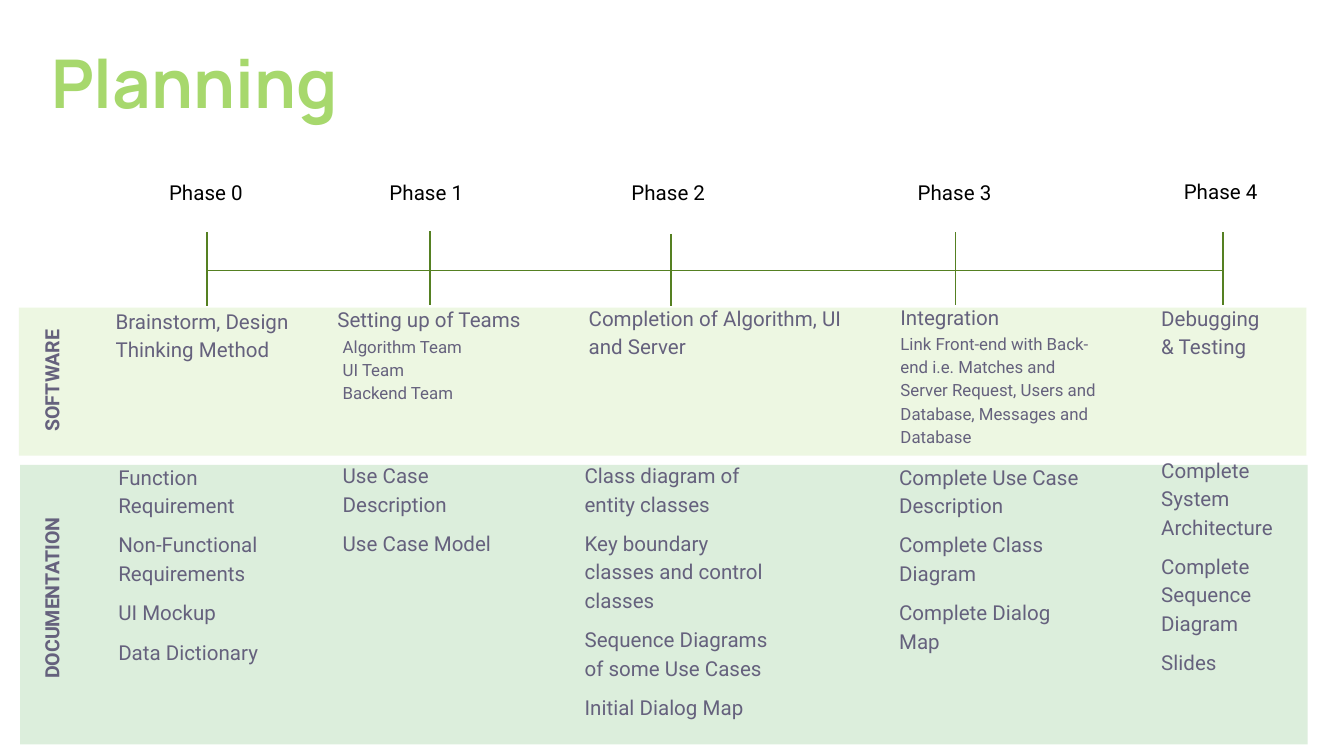
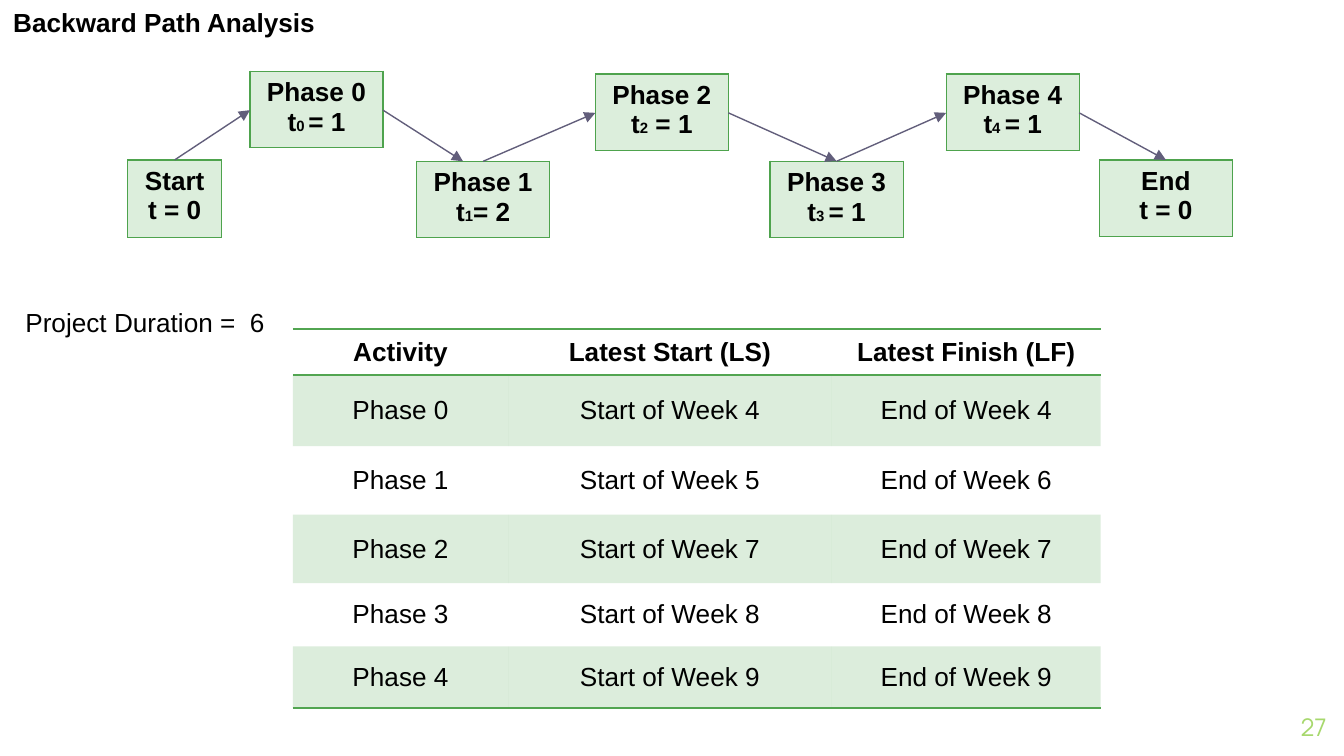
from lxml import etree
from pptx import Presentation
from pptx.dml.color import RGBColor
from pptx.enum.shapes import MSO_CONNECTOR as Connector, MSO_SHAPE as Shape
from pptx.enum.text import MSO_ANCHOR as Anchor, PP_ALIGN as Align
from pptx.oxml.ns import qn
from pptx.util import Inches, Pt

COLORS = {
    "lime": "A7D86D", "olive": "558022", "slate": "65617D", "arrow": "625E7B",
    "mint": "DCEEDC", "pale": "EDF7E2", "green": "52A551", "edge": "4EA34D",
    "black": "000000",
}
NO_TABLE_STYLE = "{2D5ABB26-0587-4C30-8999-92F81FD0307C}"


class Deck:
    """Holds the presentation, its style and the current slide."""

    def __init__(self):
        self.prs = Presentation()
        self.prs.slide_width = Inches(10)
        self.prs.slide_height = Inches(10) * 9 // 16
        self.slide = None

    def new_slide(self):
        self.slide = self.prs.slides.add_slide(self.prs.slide_layouts[6])

    @staticmethod
    def color(name):
        return RGBColor.from_string(COLORS[name])

    def style(self, paragraph, size, font, color, bold=False, align=None):
        paragraph.font.size = Pt(size)
        paragraph.font.name = font
        paragraph.font.bold = bold
        paragraph.font.color.rgb = self.color(color)
        if align is not None:
            paragraph.alignment = align

    def band(self, left, top, width, height, color):
        shape = self.slide.shapes.add_shape(
            Shape.RECTANGLE, *map(Inches, (left, top, width, height)))
        shape.shadow.inherit = False
        shape.fill.solid()
        shape.fill.fore_color.rgb = self.color(color)
        shape.line.fill.background()

    def text(self, box, words, size, font="Arial", color="black", bold=False,
             align=None, inset=True, middle=False):
        shape = self.slide.shapes.add_textbox(*map(Inches, box))
        frame = shape.text_frame
        frame.word_wrap = True
        if not inset:
            frame.margin_left = frame.margin_right = 0
            frame.margin_top = frame.margin_bottom = 0
        if middle:
            frame.vertical_anchor = Anchor.MIDDLE
        paragraph = frame.paragraphs[0]
        paragraph.text = words
        self.style(paragraph, size, font, color, bold, align)
        return shape

    def notes(self, box, items, size=11, bold=False, rotation=0):
        """Indented slate paragraphs, one per item."""
        shape = self.text(box, items[0], size, "Roboto", "slate", bold, inset=False)
        shape.rotation = rotation
        frame = shape.text_frame
        for item in items[1:]:
            paragraph = frame.add_paragraph()
            paragraph.text = item
            paragraph.space_before = Pt(6)
            self.style(paragraph, size, "Roboto", "slate")
        for paragraph in frame.paragraphs:
            paragraph.line_spacing = 1.15
            paragraph._p.get_or_add_pPr().set("marL", str(Inches(0.14)))

    def line(self, start, end, color, width, arrow=False):
        connector = self.slide.shapes.add_connector(
            Connector.STRAIGHT, *map(Inches, (*start, *end)))
        connector.line.color.rgb = self.color(color)
        connector.line.width = Pt(width)
        if arrow:
            etree.SubElement(connector.line._get_or_add_ln(), qn("a:tailEnd"),
                             type="triangle")
        etree.SubElement(connector._element.spPr, qn("a:effectLst"))

    def table(self, left, top, widths, heights, total_height):
        holder = self.slide.shapes.add_table(
            len(heights), len(widths),
            *map(Inches, (left, top, sum(widths), total_height)))
        table = holder.table
        table.first_row = table.horz_banding = False
        table._tbl.tblPr.find(qn("a:tableStyleId")).text = NO_TABLE_STYLE
        for column, width in zip(table.columns, widths):
            column.width = Inches(width)
        for row, height in zip(table.rows, heights):
            row.height = Inches(height)
        holder.height = Inches(total_height)
        return table

    def fill_cell(self, cell, color, alpha=None):
        cell.fill.solid()
        cell.fill.fore_color.rgb = self.color(color)
        if alpha:
            clr = cell._tc.tcPr.find(qn("a:solidFill"))[0]
            etree.SubElement(clr, qn("a:alpha"), val=str(alpha * 1000))

    @staticmethod
    def borders(cell, sides, color, width):
        """Sides are given in the order L, R, T, B, ahead of the fill."""
        props = cell._tc.get_or_add_tcPr()
        for index, side in enumerate(sides):
            ln = etree.Element(qn(f"a:ln{side}"), w=str(Pt(width)))
            fill = etree.SubElement(ln, qn("a:solidFill"))
            etree.SubElement(fill, qn("a:srgbClr"), val=COLORS[color])
            props.insert(index, ln)

    def activity_box(self, left, top, width, row_height, name, duration):
        height = max(row_height, 0.57)
        cell = self.table(left, top, [width], [row_height], height).cell(0, 0)
        self.fill_cell(cell, "mint")
        self.borders(cell, "LRTB", "edge", 0.75)
        frame = cell.text_frame
        frame.text = name
        second = frame.add_paragraph()
        for words, size in duration:
            run = second.add_run()
            run.text = words
            if size != 14:
                run.font.size = Pt(size)
        for paragraph in frame.paragraphs:
            self.style(paragraph, 14, "Arial", "black", True, Align.CENTER)


def planning(deck):
    deck.new_slide()
    deck.band(0.15, 3.46, 9.58, 2.08, "mint")
    deck.band(0.14, 2.29, 9.58, 1.1, "pale")
    deck.text((0.38, 0.2, 8.37, 0.82), "Planning", 36, "Manrope", "lime", True,
              inset=False, middle=True)

    # Timeline with one tick and label per phase
    phases = [(1.54, 1.73, 2.28, 1.16, 1.29), (3.2, 1.72, 2.27, 2.8, 1.29),
              (4.99, 1.74, 2.28, 4.6, 1.29), (7.11, 1.73, 2.27, 6.73, 1.29),
              (9.1, 1.73, 2.27, 8.71, 1.28)]
    deck.line((phases[0][0], 2.01), (phases[-1][0], 2.01), "olive", 0.5)
    for number, (x, tick_top, tick_foot, left, top) in enumerate(phases):
        deck.line((x, tick_top), (x, tick_foot), "olive", 1)
        deck.text((left, top, 0.77, 0.29), f"Phase {number}", 11, "Roboto")

    # Band names
    for top, name in [(2.36, "SOFTWARE"), (4.2, "DOCUMENTATION")]:
        deck.notes((-0.3, top, 1.56, 0.42), [name], 10.5, True, 270)

    # Software tasks
    for left, top, width, height, task in [
        (0.72, 2.27, 1.56, 0.42, "Brainstorm, Design Thinking Method"),
        (2.37, 2.26, 1.65, 0.42, "Setting up of Teams"),
        (4.24, 2.25, 2.1, 0.63, "Completion of Algorithm, UI and Server"),
        (6.56, 2.24, 2.1, 0.63, "Integration"),
        (8.5, 2.25, 1.35, 0.63, "Debugging \n& Testing"),
    ]:
        deck.notes((left, top, width, height), [task])
    for left, top, detail in [
        (2.41, 2.48, "Algorithm Team\nUI Team\nBackend Team"),
        (6.56, 2.46, "Link Front-end with Back-end i.e. Matches and Server Request, "
                     "Users and Database, Messages and Database"),
    ]:
        deck.notes((left, top, 1.65, 0.76), [detail], 9)

    # Documentation deliverables
    for left, top, width, items in [
        (0.74, 3.43, 1.56, ["Function Requirement", "Non-Functional Requirements",
                            "UI Mockup", "Data Dictionary"]),
        (2.41, 3.42, 1.56, ["Use Case Description", "Use Case Model"]),
        (4.21, 3.42, 1.56, ["Class diagram of entity classes",
                            "Key boundary classes and control classes",
                            "Sequence Diagrams of some Use Cases",
                            "Initial Dialog Map"]),
        (6.55, 3.43, 1.56, ["Complete Use Case Description",
                            "Complete Class Diagram", "Complete Dialog Map"]),
        (8.5, 3.38, 1.21, ["Complete System Architecture",
                           "Complete Sequence Diagram", "Slides"]),
    ]:
        deck.notes((left, top, width, 1.92), items)


def backward_path(deck):
    deck.new_slide()
    deck.text((0, 0, 2.53, 0.34), "Backward Path Analysis", 14, bold=True)
    deck.text((0.09, 2.23, 1.98, 0.34), "Project Duration =  6", 14)
    deck.text((9.27, 5.19, 0.6, 0.43), "27", 13, "Manrope", "lime",
              align=Align.RIGHT, inset=False, middle=True)

    # Activity network
    activities = [
        (0.95, 1.19, 0.7, 0.58, "Start", [("t = 0", 14)]),
        (1.86, 0.53, 0.99, 0.41, "Phase 0",
         [("t", 14), ("0", 8), (" ", 7), ("= 1", 14)]),
        (3.1, 1.2, 0.99, 0.41, "Phase 1", [("t", 14), ("1", 8), ("= 2", 14)]),
        (4.43, 0.55, 0.99, 0.41, "Phase 2", [("t", 14), ("2", 8), (" = 1", 14)]),
        (5.73, 1.2, 0.99, 0.41, "Phase 3", [("t", 14), ("3 ", 8), ("= 1", 14)]),
        (7.04, 0.55, 0.99, 0.41, "Phase 4", [("t", 14), ("4 ", 8), ("= 1", 14)]),
        (8.18, 1.19, 0.99, 0.57, "End", [("t = 0", 14)]),
    ]
    for activity in activities:
        deck.activity_box(*activity)

    # Arrows rise from a top to a left side and fall from a right side to a top
    for here, following in zip(activities, activities[1:]):
        left, top, width = here[:3]
        next_left, next_top, next_width = following[:3]
        if next_top < top:
            start = (left + width / 2, top)
            end = (next_left, next_top + 0.29)
        else:
            start = (left + width, top + 0.29)
            shift = 0.15 if here[4] == "Phase 0" else 0
            end = (next_left + next_width / 2 - shift, next_top)
        deck.line(start, end, "arrow", 0.75, arrow=True)

    # Latest start and finish
    weeks = [(4, 4), (5, 6), (7, 7), (8, 8), (9, 9)]
    rows = [("Activity", "Latest Start (LS)", "Latest Finish (LF)")]
    rows += [(f"Phase {phase}", f"Start of Week {first}", f"End of Week {last}")
             for phase, (first, last) in enumerate(weeks)]
    schedule = deck.table(2.18, 2.45, [1.6, 2.41, 2],
                          [0.34, 0.53, 0.51, 0.51, 0.47, 0.46], 2.82)
    for r, row in enumerate(rows):
        for c, words in enumerate(row):
            cell = schedule.cell(r, c)
            cell.vertical_anchor = Anchor.MIDDLE
            cell.text = words
            deck.style(cell.text_frame.paragraphs[0], 14, "Arial", "black",
                       r == 0, Align.CENTER)
            if r % 2:
                deck.fill_cell(cell, "green", 20)
            else:
                cell.fill.background()
            if r == 0:
                deck.borders(cell, "TB", "green", 1)
            elif r == len(rows) - 1:
                deck.borders(cell, "B", "green", 1)


def main():
    deck = Deck()
    planning(deck)
    backward_path(deck)
    deck.prs.save("out.pptx")


if __name__ == "__main__":
    main()
